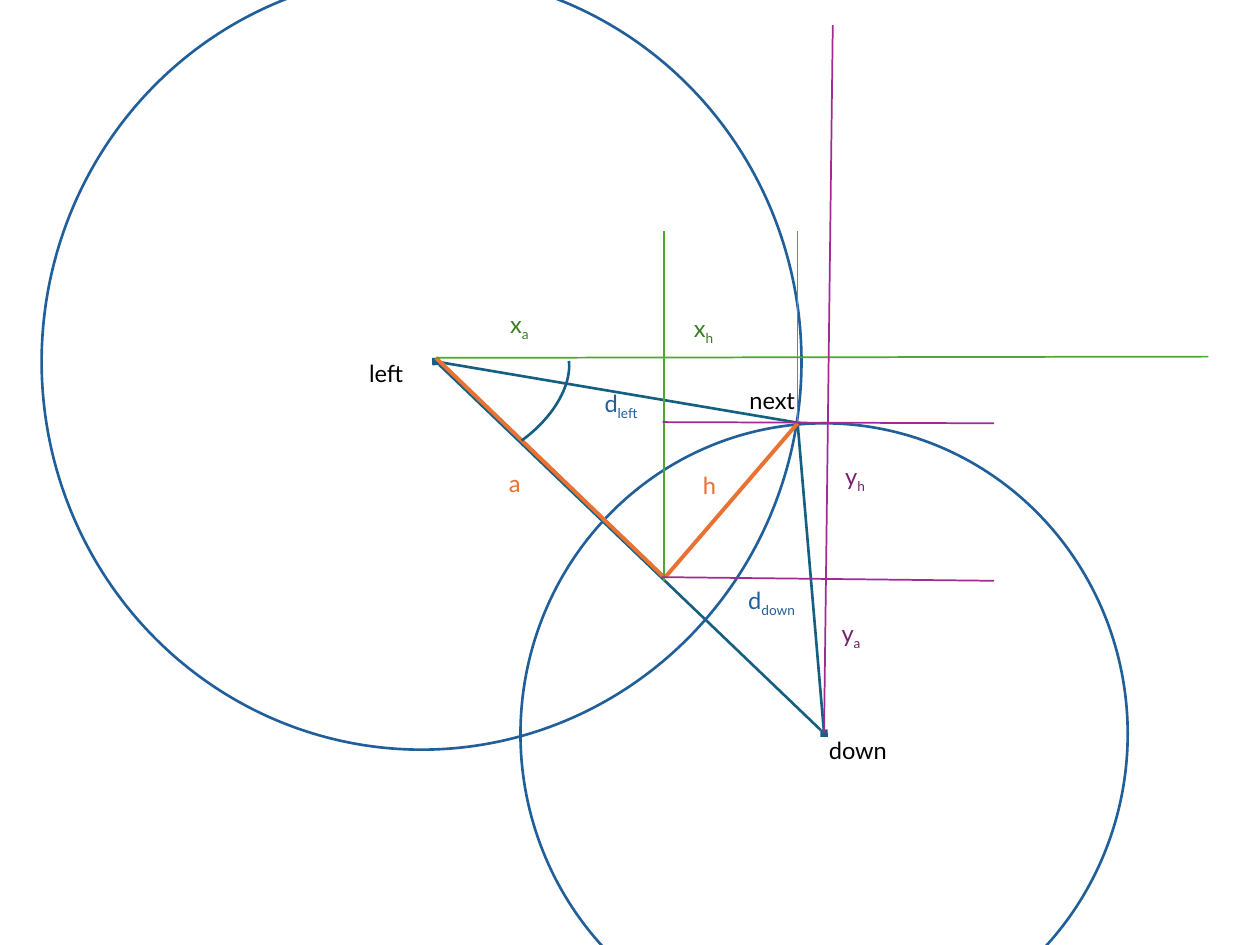
import pptx
import pptx.dml.color
import pptx.enum.shapes
import pptx.enum.text
import pptx.oxml.ns
import pptx.util
from lxml import etree

Pt = pptx.util.Pt
RGB = pptx.dml.color.RGBColor
SHAPE = pptx.enum.shapes.MSO_SHAPE

TEAL = RGB(0x15, 0x60, 0x82)
BLUE = RGB(0x21, 0x5F, 0x9A)
ORANGE = RGB(0xE9, 0x71, 0x32)
GREEN = RGB(0x4E, 0xA7, 0x2E)
DARK_GREEN = RGB(0x3B, 0x7D, 0x23)
PURPLE = RGB(0xA0, 0x2B, 0x93)
DARK_PURPLE = RGB(0x78, 0x20, 0x6E)
BLACK = RGB(0, 0, 0)

LEFT = (249.1, 206.6)
DOWN = (470.9, 419)
NEXT = (455.8, 241.9)
FOOT = (379.4, 329.8)
AXIS_START = (249.1, 204.5)


def add_sub(parent, tag, **attributes):
    return etree.SubElement(parent, pptx.oxml.ns.qn(tag), **attributes)


def add_line(slide, origin, start, end, color, width, ends=None):
    """Draw a line between two points measured from origin; ends names the arrowhead."""
    x, y = origin
    s = slide.shapes.add_connector(
        pptx.enum.shapes.MSO_CONNECTOR.STRAIGHT,
        Pt(x + start[0]), Pt(y + start[1]), Pt(x + end[0]), Pt(y + end[1]))
    s.line.color.rgb = color
    s.line.width = Pt(width)
    if ends:
        ln = s.line._get_or_add_ln()
        add_sub(ln, "a:headEnd", type=ends)
        add_sub(ln, "a:tailEnd", type=ends)
    add_sub(s._element.spPr, "a:effectLst")


def add_outline(slide, kind, origin, box, color):
    left, top, width, height = box
    sp = slide.shapes.add_shape(
        kind, Pt(origin[0] + left), Pt(origin[1] + top), Pt(width), Pt(height))
    sp.shadow.inherit = False
    sp.fill.background()
    sp.line.color.rgb = color
    sp.line.width = Pt(1.5)
    return sp


def add_text(slide, text, left, top, width=55.4, height=33.1, sub="", color=BLACK, size=13.5):
    """Add a label, with sub set as its subscript."""
    tf = slide.shapes.add_textbox(Pt(left), Pt(top), Pt(width), Pt(height)).text_frame
    tf.word_wrap = True
    tf.auto_size = pptx.enum.text.MSO_AUTO_SIZE.SHAPE_TO_FIT_TEXT
    p = tf.paragraphs[0]
    for part, baseline in ((text, None), (sub, "-25000")):
        if not part:
            continue
        r = p.add_run()
        r.text = part
        r.font.name = "Lato"
        r.font.size = Pt(size)
        r.font.color.rgb = color
        if baseline:
            r._r.get_or_add_rPr().set("baseline", baseline)


def draw_triangle(slide, origin):
    add_line(slide, origin, LEFT, DOWN, TEAL, 1.5, ends="diamond")
    for box in ((23.8, -15.1, 434.2, 443.5), (297.4, 241.9, 347, 355)):
        add_outline(slide, SHAPE.OVAL, origin, box, BLUE)
    for start, end, color, width in (
        (LEFT, (457.9, 241.9), TEAL, 1.5),
        (DOWN, NEXT, TEAL, 1.5),
        (NEXT, (380.2, 329.8), ORANGE, 2.25),
        (AXIS_START, FOOT, ORANGE, 2.25),
    ):
        add_line(slide, origin, start, end, color, width)


def draw_projections(slide, origin):
    for start, end, color in (
        (AXIS_START, (690.5, 203.8), GREEN),
        ((379.4, 331.9), (379.4, 131.8), GREEN),
        (NEXT, (455.8, 131.8), GREEN),
        (DOWN, (475.9, 14.4), PURPLE),
        ((378, 329.8), (568.1, 331.9), PURPLE),
        ((378.7, 241.2), (568.1, 241.9), PURPLE),
    ):
        add_line(slide, origin, start, end, color, 1)


def draw_angle(slide, origin):
    arc = add_outline(slide, SHAPE.ARC, origin, (248.4, 175, 62.6, 103), TEAL)
    arc.adjustments[0] = 169.24
    arc.adjustments[1] = 0
    arc.rotation = 54


def draw_labels(slide, origin):
    for text, sub, left, top, color, size in (
        ("left", "", 203.8, 201.6, BLACK, {}),
        ("down", "", 466.6, 416.9, BLACK, {"width": 79.9}),
        ("a", "", 283.7, 264.2, ORANGE, {"width": 25.9}),
        ("h", "", 394.6, 265.7, ORANGE, {}),
        ("d", "left", 338.4, 218.9, BLUE, {}),
        ("d", "down", 420.5, 331.2, BLUE, {"height": 23.8}),
        ("x", "a", 284.4, 173.5, DARK_GREEN, {}),
        ("x", "h", 389.5, 175.7, DARK_GREEN, {}),
        ("y", "a", 473.8, 349.9, DARK_PURPLE, {}),
        ("y", "h", 475.9, 260.6, DARK_PURPLE, {}),
        ("next", "", 421.2, 216.7, BLACK, {"height": 23.8}),
    ):
        add_text(slide, text, origin[0] + left, origin[1] + top, sub=sub, color=color, **size)


def main():
    prs = pptx.Presentation()
    prs.slide_width, prs.slide_height = Pt(720), Pt(540)
    slide = prs.slides.add_slide(prs.slide_layouts[6])
    for draw in (draw_triangle, draw_projections, draw_angle, draw_labels):
        draw(slide, (0, 0))
    prs.save("out.pptx")


if __name__ == "__main__":
    main()
